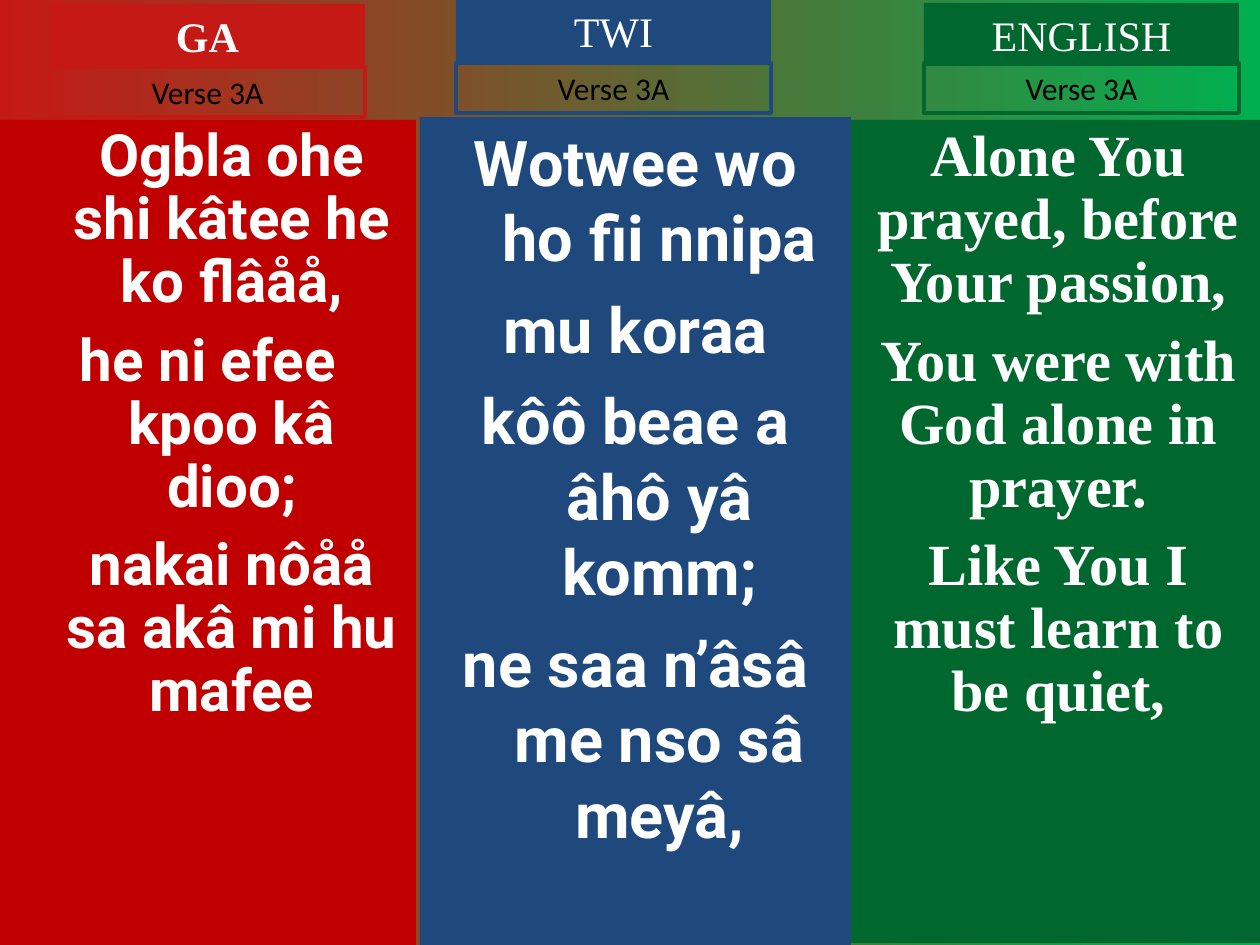
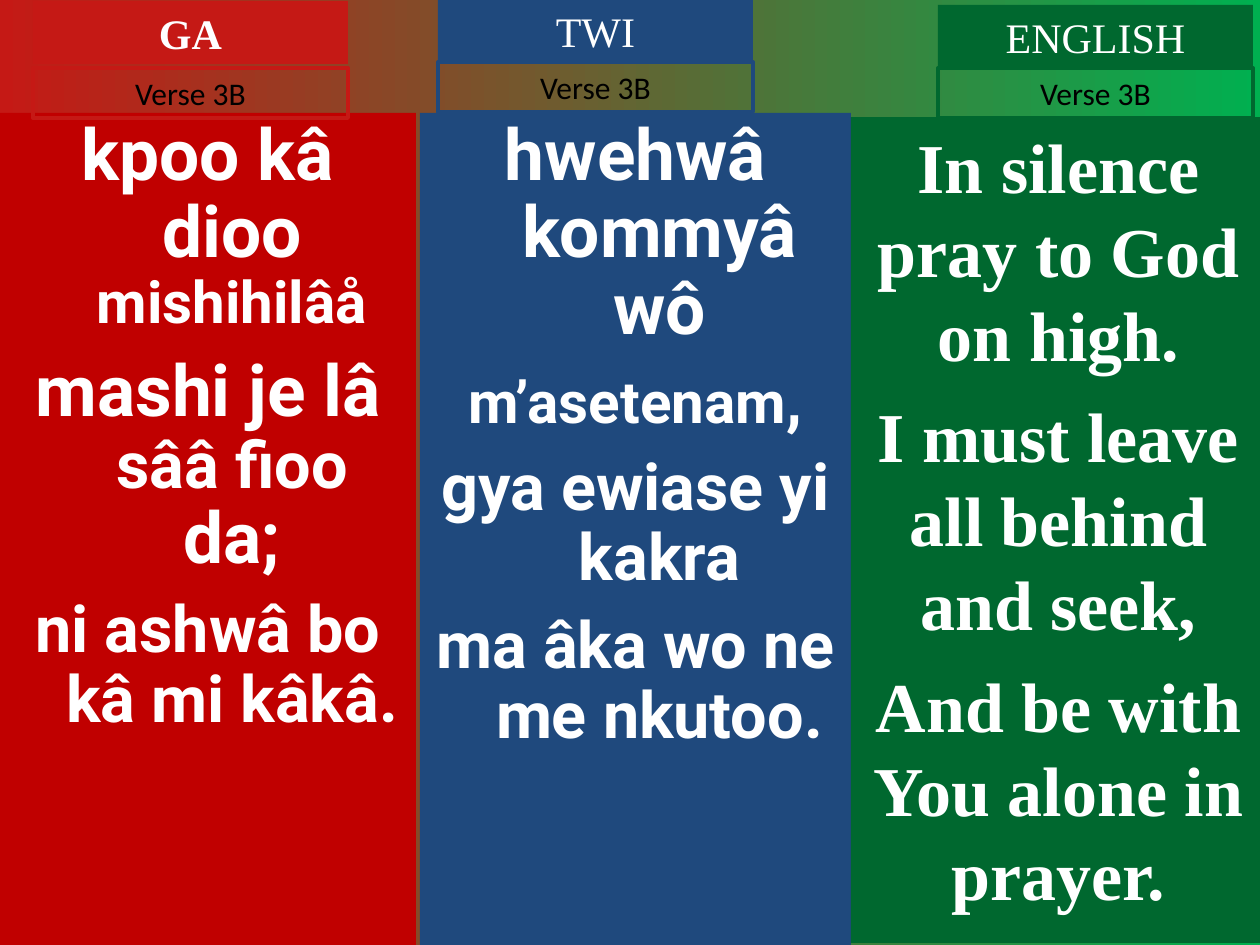
"""Build two hymn slides with one verse in three languages side by side."""
from pptx import Presentation, util as u
from pptx.dml.color import RGBColor
from pptx.enum import shapes, text

PX = 914400 / 126
WIDE, HIGH = 1260, 945
BAR, TAG, SPAN = 63, 50, 315
HANG = 48
WHITE, BLACK = "FFFFFF", "000000"
FADE = ("C51915", "00B050")
SERIF, SANS, PLAIN = "Times New Roman", "Roboto", "Calibri"

COLS = [
    dict(name="GA", left=0, width=416, end=945, fill="C00000", tint="C51915", font=SANS, bold=True),
    dict(name="TWI", left=420, width=431, end=945, fill="1F497D", tint="1F497D", font=SANS, bold=False),
    dict(name="ENGLISH", left=851, width=415, end=943, fill="00682F", tint="00682F", font=SERIF, bold=False),
]

# Each paragraph: space before, hanging indent, runs of (words, size)
SLIDES = [
    ("Verse 3A", [
        dict(top=120, head=(50, 4), tag=67, lead=0.9, paras=[
            (0, 0, [("Ogbla ohe shi kâtee he ko flâåå,", 33.3)]),
            (9, HANG, [("he ni efee kpoo kâ dioo;", 33.3)]),
            (9, 0, [("nakai nôåå sa akâ mi hu mafee", 33.3)])]),
        dict(top=117, head=(456, -1), tag=63, lead=1.0, paras=[
            (0, HANG, [("Wotwee wo ho fii nnipa", 36)]),
            (9, HANG, [("mu koraa", 36)]),
            (9, HANG, [("kôô beae a âhô yâ komm;", 36)]),
            (9, HANG, [("ne saa n’âsâ me nso sâ meyâ,", 36)])]),
        dict(top=120, head=(924, 3), tag=63, lead=0.9, paras=[
            (0, None, [("Alone You prayed, before Your passion,", 33.3)]),
            (9, None, [("You were with God alone in prayer.", 33.3)]),
            (9, None, [("Like You I must learn to be quiet,", 33.3)])]),
    ]),
    ("Verse 3B", [
        dict(top=113, head=(33, 1), tag=68, lead=0.9, paras=[
            (0, HANG, [("kpoo kâ dioo ", 40.7), ("mishihilâå", 33.3)]),
            (11, HANG, [("mashi je lâ ", 40.7), ("sââ fioo ", 37), ("da;", 40.7)]),
            (10, HANG, [("ni ashwâ bo kâ mi kâkâ.", 37)])]),
        dict(top=113, head=(438, -1), tag=62, lead=0.9, paras=[
            (0, HANG, [("hwehwâ kommyâ wô", 40.7)]),
            (10, HANG, [("m’asetenam", 33.3), (",", 37)]),
            (10, HANG, [("gya ewiase yi kakra", 37)]),
            (10, HANG, [("ma âka wo ne me nkutoo.", 37)])]),
        dict(top=117, head=(938, 5), tag=68, lead=1.0, paras=[
            (0, None, [("In silence pray to God on high.", 40)]),
            (10, None, [("I must leave all behind and seek,", 40)]),
            (10, None, [("And be with You alone in prayer.", 40)])]),
    ]),
]


def px(n):
    return u.Emu(round(n * PX))


def hue(code):
    return RGBColor.from_string(code)


def box(slide, left, top, width, height, fill=None, line=None, grow=False):
    shape = slide.shapes.add_shape(shapes.MSO_SHAPE.RECTANGLE, px(left), px(top), px(width), px(height))
    shape.shadow.inherit = False
    if fill:
        shape.fill.solid()
        shape.fill.fore_color.rgb = hue(fill)
    else:
        shape.fill.background()
    if line:
        shape.line.color.rgb = hue(line)
        shape.line.width = u.Pt(2.25)
    else:
        shape.line.fill.background()
    frame = shape.text_frame
    frame.word_wrap = True
    frame.vertical_anchor = text.MSO_ANCHOR.TOP
    frame.auto_size = text.MSO_AUTO_SIZE.SHAPE_TO_FIT_TEXT if grow else text.MSO_AUTO_SIZE.NONE
    return frame


def write(frame, paras, font, color, bold, lead=1.0):
    for i, (gap, hang, runs) in enumerate(paras):
        para = frame.add_paragraph() if i else frame.paragraphs[0]
        para.alignment = text.PP_ALIGN.CENTER
        para.line_spacing = lead
        para.space_before = u.Pt(gap)
        if hang is not None:
            props = para._p.get_or_add_pPr()
            props.set("marL", str(px(HANG)))
            props.set("indent", str(px(-hang)))
        for words, size in runs:
            run = para.add_run()
            run.text = words
            run.font.name = font
            run.font.size = u.Pt(size)
            run.font.bold = bold
            run.font.color.rgb = hue(color)


def fade(slide):
    fill = slide.background.fill
    fill.gradient()
    fill.gradient_angle = 0
    for i, code in enumerate(FADE):
        fill.gradient_stops[i].color.rgb = hue(code)
        fill.gradient_stops[i].position = i


def column(slide, verse, col, part):
    body = box(slide, col["left"], part["top"], col["width"], col["end"] - part["top"], fill=col["fill"])
    write(body, part["paras"], col["font"], WHITE, True, part["lead"])
    left, top = part["head"]
    head = box(slide, left, top, SPAN, BAR, fill=col["tint"], grow=True)
    write(head, [(0, None, [(col["name"], 24)])], SERIF, WHITE, col["bold"])
    tag = box(slide, left, part["tag"], SPAN, TAG, line=col["tint"], grow=True)
    write(tag, [(0, None, [(verse, 18)])], PLAIN, BLACK, False)


def main():
    deck = Presentation()
    deck.slide_width, deck.slide_height = px(WIDE), px(HIGH)
    for verse, parts in SLIDES:
        slide = deck.slides.add_slide(deck.slide_layouts[6])
        fade(slide)
        for col, part in zip(COLS, parts):
            column(slide, verse, col, part)
    deck.save("out.pptx")


if __name__ == "__main__":
    main()
